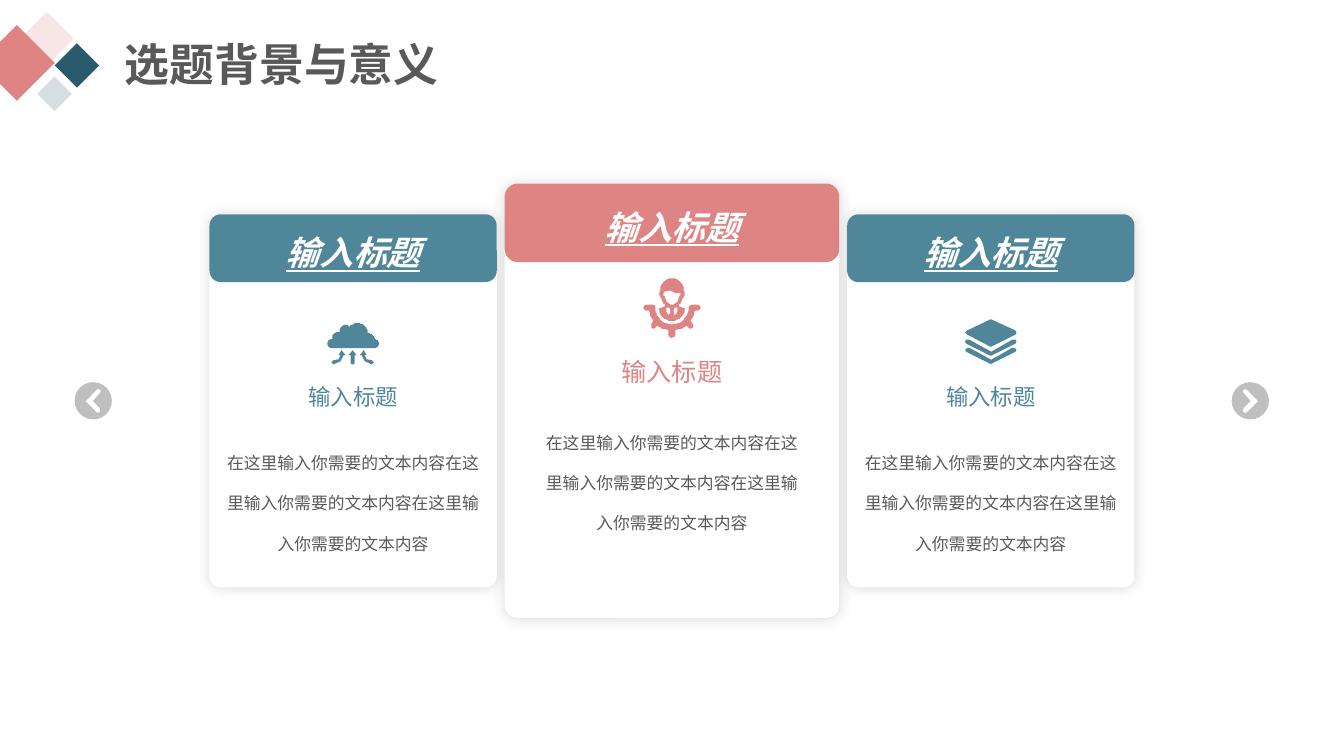
import math
import pptx
import pptx.dml.color
import pptx.enum.shapes
import pptx.enum.text
import pptx.oxml
import pptx.oxml.ns
import pptx.util

Cm = pptx.util.Cm
Shape = pptx.enum.shapes.MSO_SHAPE
Align = pptx.enum.text.PP_ALIGN
Anchor = pptx.enum.text.MSO_ANCHOR

FONT = "Noto Sans CJK SC"
HUES = {
    "rose": "DE8484", "blush": "F8E6E6", "teal": "4F869A", "deep": "295B6D",
    "mist": "D5DEE2", "gray": "BFBFBF", "text": "595959", "white": "FFFFFF",
}
UNIT = Cm(2.54) / 100  # icon grid step
HEAD = "输入标题"
BODY = "在这里输入你需要的文本内容" * 3


def color(name):
    return pptx.dml.color.RGBColor.from_string(HUES[name])


def paint(shape, hue):
    shape.shadow.inherit = False
    shape.fill.solid()
    shape.fill.fore_color.rgb = color(hue)
    shape.line.fill.background()
    return shape


def block(slide, kind, x, y, w, h, hue, adj=None):
    shape = slide.shapes.add_shape(kind, Cm(x), Cm(y), Cm(w), Cm(h))
    if adj is not None:
        shape.adjustments[0] = adj
    return paint(shape, hue)


def write(shape, text, size, hue, align=Align.CENTER, anchor=Anchor.MIDDLE,
          space=1.0, bold=False, slant=False, under=False):
    frame = shape.text_frame
    frame.word_wrap = True
    frame.vertical_anchor = anchor
    para = frame.paragraphs[0]
    para.alignment = align
    para.line_spacing = space
    run = para.add_run()
    run.text = text
    font = run.font
    font.size = pptx.util.Pt(size)
    font.bold, font.italic, font.underline = bold, slant, under
    font.color.rgb = color(hue)
    font.name = FONT
    east = pptx.oxml.parse_xml(
        f'<a:ea {pptx.oxml.ns.nsdecls("a")} typeface="{FONT}"/>')
    font._element.find(pptx.oxml.ns.qn("a:latin")).addnext(east)


def label(slide, x, y, w, h, text, **form):
    box = slide.shapes.add_textbox(Cm(x), Cm(y), Cm(w), Cm(h))
    write(box, text, **form)
    return box


def glow(shape):
    """Soft shadow on all sides."""
    list_ = shape._element.spPr.find(pptx.oxml.ns.qn("a:effectLst"))
    list_.append(pptx.oxml.parse_xml(
        f'<a:outerShdw {pptx.oxml.ns.nsdecls("a")} blurRad="127000" dist="0">'
        '<a:srgbClr val="000000"><a:alpha val="15000"/></a:srgbClr>'
        '</a:outerShdw>'))


# Icon outlines, in grid steps
def arc(x, y, r, start, end, count=16):
    turns = [math.radians(start + (end - start) * i / count)
             for i in range(count + 1)]
    return [(x + r * math.cos(t), y + r * math.sin(t)) for t in turns]


def flip(points, width):
    return [(width - x, y) for x, y in points]


def both(half, width):
    """Close a right half with its mirrored left half."""
    return half + flip(half, width)[::-1]


def cloud():
    puffs = [(4.5, 20.5, 4.5, 90, 270), (10.5, 15, 6, 170, 285),
             (18, 8, 6, 180, 300), (30, 10, 10, 220, 360),
             (40, 17, 7, 270, 350), (46.5, 20.5, 4.5, 270, 450)]
    body = [point for puff in puffs for point in arc(*puff)]
    mid = both([(25, 27), (29, 32), (27, 32), (27, 40), (26, 41)], 50)
    side = [(35.5, 27), (39, 32), (37, 32), (39, 35.5), (44, 37), (46, 39),
            (44, 41), (37, 38), (34, 32), (31.5, 32)]
    return [body, mid, side, flip(side, 50)]


def stack():
    top = both([(26, 0.5), (49.5, 11), (51, 13), (49.5, 15), (26, 27)], 51)
    band = both([(25.5, 32), (47, 20), (50, 20.5), (51, 22), (50, 24),
                 (26, 36)], 51)
    return [top, band, [(x, y + 8.5) for x, y in band]]


def pilot():
    wheel = both(arc(28.5, 29, 16.5, 90, 0)
                 + [(45.5, 27), (48, 26), (54, 26), (56, 27), (57, 29),
                    (56, 31), (54, 32), (51, 32), (50, 37), (47, 42),
                    (49, 45), (49.5, 47), (49, 49), (47, 50), (45, 49),
                    (43, 47), (38, 50), (32, 51), (32, 56), (31, 58),
                    (28.5, 59)], 57)
    bust = both(arc(28.5, 11.5, 11.5, 270, 360)
                + [(41, 14), (41, 17), (39, 20), (37, 25), (35, 26),
                   (36, 28)] + arc(28.5, 29, 13.2, 5, 90), 57)
    face = [(21, 13), (26, 12), (29, 13), (33, 15), (36, 14), (37, 15),
            (37, 17), (36, 17), (34, 23), (30, 26), (27, 26), (23, 23),
            (21, 17), (20, 17), (20, 15)]
    flap = [(31, 29), (34, 29), (34, 33), (32, 36), (31, 36), (30, 32)]
    return [wheel, bust, face, flap, flip(flap, 57)]


def arrow():
    return [[(1, 4), (0, 2.5), (1, 1), (2.5, 0), (4, 1), (15, 12), (4, 23),
             (2.5, 23.5), (0.5, 22), (1, 19), (8, 12)]]


def draw(slide, mid, base, icon, hue):
    """Centre an icon on mid, standing on base."""
    points = [point for loop in icon for point in loop]
    wide, high = max(x for x, _ in points), max(y for _, y in points)
    pen = slide.shapes.build_freeform(*icon[0][0], scale=UNIT)
    pen.add_line_segments(icon[0][1:])
    for loop in icon[1:]:
        pen.move_to(*loop[0])
        pen.add_line_segments(loop[1:])
    shape = pen.convert_to_shape(int(Cm(mid) - wide * UNIT / 2),
                                 int(Cm(base) - high * UNIT))
    paint(shape, hue)


# Regions
def header(slide, x, y, w, h):
    for dx, dy, size, hue in [(1.91, 0.79, 1.12, "deep"),
                              (1.04, 0, 1.35, "blush"),
                              (0, 0.33, 1.91, "rose"),
                              (1.47, 1.63, 0.87, "mist")]:
        block(slide, Shape.DIAMOND, x + dx, y + dy, size, size, hue)
    title = label(slide, x + 3.43, y + 0.49, w - 3.43, h, "选题背景与意义",
                  size=32, hue="text", align=Align.LEFT, anchor=Anchor.TOP,
                  bold=True)
    title.text_frame.auto_size = pptx.enum.text.MSO_AUTO_SIZE.SHAPE_TO_FIT_TEXT


def button(slide, x, y, size, icon):
    block(slide, Shape.FLOWCHART_CONNECTOR, x, y, size, size, "gray")
    draw(slide, x + size / 2, y + size / 2 + 0.3, icon, "white")


def card(slide, x, y, w, h, icon, hue, bar, base, name, size, inset, copy):
    """Offsets bar, base, name and copy run down from the card top."""
    glow(block(slide, Shape.ROUNDED_RECTANGLE, x, y, w, h, "white", 0.04))
    strip = block(slide, Shape.ROUNDED_RECTANGLE, x, y, w, bar, hue)
    write(strip, HEAD, size=24, hue="white", space=1.2, bold=True,
          slant=True, under=True)
    draw(slide, x + w / 2, y + base, icon, hue)
    label(slide, x + 0.6, y + name, w - 1.2, 1.1, HEAD, size=size, hue=hue)
    label(slide, x + inset, y + copy, w - 2 * inset, 3.35, BODY, size=12,
          hue="text", anchor=Anchor.TOP, space=2.0)


def main():
    deck = pptx.Presentation()
    deck.slide_width, deck.slide_height = Cm(33.87), Cm(19.05)
    slide = deck.slides.add_slide(deck.slide_layouts[6])

    header(slide, -0.53, 0.3, 14.68, 1.63)

    # Page buttons and cards share one centre line
    mid, dot = 10.1, 0.94
    button(slide, 1.88, mid - dot / 2, dot, [flip(arrow()[0], 15)])
    button(slide, 31.04, mid - dot / 2, dot, arrow())

    wide, high, gap, left = 7.24, 9.4, 0.2, 5.28
    main_w, main_h = 8.43, 10.95
    card(slide, left + wide + gap, mid - main_h / 2, main_w, main_h, pilot(),
         "rose", bar=1.98, base=3.89, name=4.18, size=18, inset=0.64,
         copy=5.64)
    step = wide + main_w + 2 * gap
    for i, icon in enumerate([cloud(), stack()]):
        card(slide, left + i * step, mid - high / 2, wide, high, icon, "teal",
             bar=1.71, base=3.78, name=4.05, size=16, inset=0, copy=5.38)

    deck.save("out.pptx")


if __name__ == "__main__":
    main()
